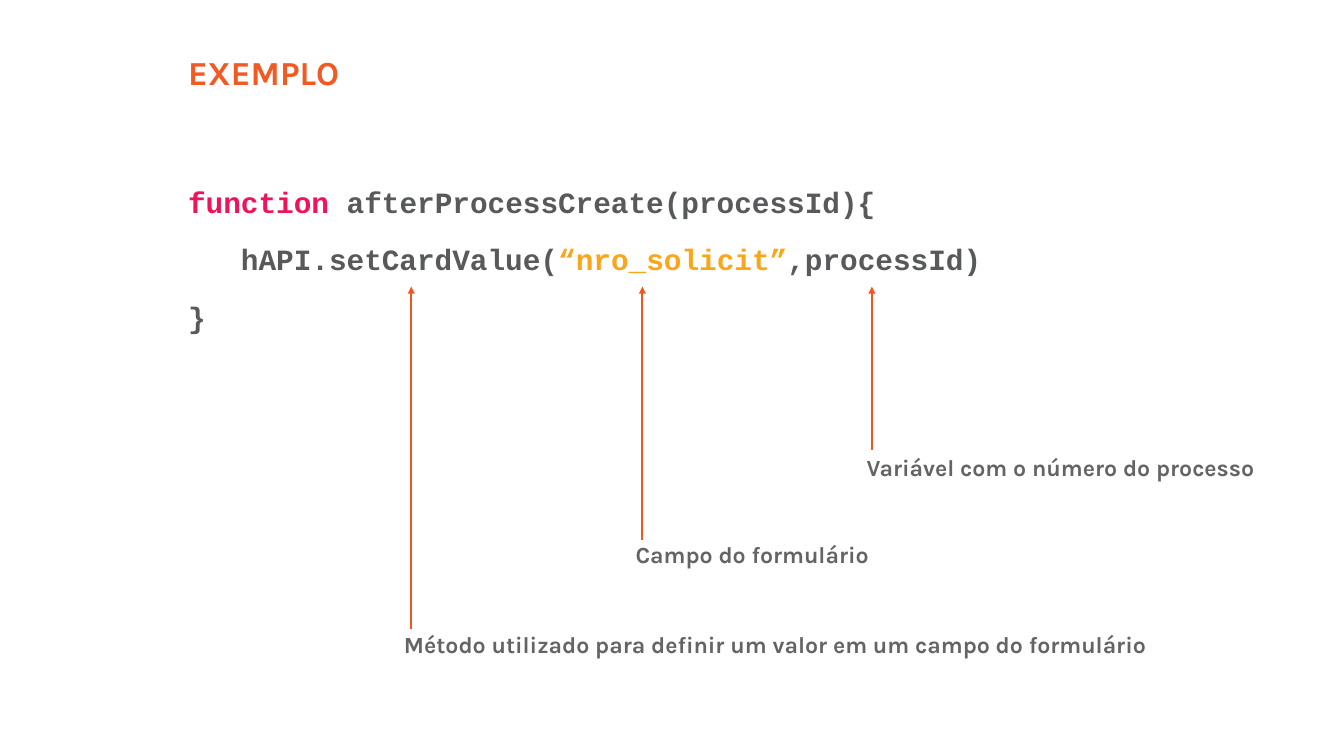
from dataclasses import dataclass

import pptx
import pptx.dml.color
import pptx.enum.shapes
import pptx.enum.text
import pptx.oxml
import pptx.oxml.ns
import pptx.util
from pptx.slide import Slide
from pptx.text.text import TextFrame, _Paragraph

Pt = pptx.util.Pt
RGBColor = pptx.dml.color.RGBColor

ORANGE = RGBColor(0xF1, 0x5A, 0x22)
ARROW_ORANGE = RGBColor(0xF1, 0x56, 0x1C)
PINK = RGBColor(0xED, 0x14, 0x5B)
AMBER = RGBColor(0xFA, 0xA6, 0x1A)
CODE_GRAY = RGBColor(0x58, 0x59, 0x5B)
LABEL_GRAY = RGBColor(0x63, 0x64, 0x63)

TEXT_FONT = "Karla"
CODE_FONT = "Courier New"
ARROW_TIP = 273


@dataclass
class Callout:
    text: str
    arrow_x: float
    arrow_start: float
    left: float
    top: float
    width: float


CODE_LINES = [
    [("function ", PINK), ("afterProcessCreate(processId){", CODE_GRAY)],
    [("   hAPI.setCardValue(", CODE_GRAY), ("“nro_solicit”", AMBER), (",processId)", CODE_GRAY)],
    [("}", CODE_GRAY)],
]

CALLOUTS = [
    Callout("Variável com o número do processo", 830, 429, 818, 428, 390),
    Callout("Campo do formulário", 611.5, 514, 598, 511, 319),
    Callout("Método utilizado para definir um valor em um campo do formulário",
            391.5, 599, 377.5, 597, 749),
]


def add_run(paragraph: _Paragraph, text: str, font: str, size: float, color: RGBColor) -> None:
    run = paragraph.add_run()
    run.text = text
    run.font.name = font
    run.font.size = Pt(size)
    run.font.bold = True
    run.font.color.rgb = color


def add_text_frame(slide: Slide, left: float, top: float, width: float, height: float) -> TextFrame:
    shape = slide.shapes.add_textbox(Pt(left), Pt(top), Pt(width), Pt(height))
    shape.text_frame.word_wrap = True
    return shape.text_frame


def format_title(slide: Slide) -> None:
    title = slide.shapes.title
    title.left, title.top, title.width, title.height = Pt(172), Pt(42), Pt(685), Pt(101.5)
    title.text_frame.vertical_anchor = pptx.enum.text.MSO_ANCHOR.TOP
    paragraph = title.text_frame.paragraphs[0]
    paragraph.alignment = pptx.enum.text.PP_ALIGN.LEFT
    paragraph.line_spacing = 1.1
    add_run(paragraph, "EXEMPLO", TEXT_FONT, 32, ORANGE)


def add_code(slide: Slide) -> None:
    frame = add_text_frame(slide, 172, 168, 953, 184)
    for index, line in enumerate(CODE_LINES):
        paragraph = frame.add_paragraph() if index else frame.paragraphs[0]
        paragraph.line_spacing = 1.1
        if index:
            paragraph.space_before = Pt(18)
        for text, color in line:
            add_run(paragraph, text, CODE_FONT, 28, color)


def add_callout(slide: Slide, callout: Callout) -> None:
    # Arrow pointing up at the code
    arrow = slide.shapes.add_connector(
        pptx.enum.shapes.MSO_CONNECTOR.STRAIGHT,
        Pt(callout.arrow_x), Pt(callout.arrow_start), Pt(callout.arrow_x), Pt(ARROW_TIP))
    arrow.line.color.rgb = ARROW_ORANGE
    arrow.line.width = Pt(2.25)
    namespace = pptx.oxml.ns.nsdecls("a")
    arrow.line._get_or_add_ln().append(
        pptx.oxml.parse_xml(f'<a:tailEnd {namespace} type="triangle"/>'))
    arrow._element.spPr.append(pptx.oxml.parse_xml(f"<a:effectLst {namespace}/>"))

    # Explanation under the arrow
    frame = add_text_frame(slide, callout.left, callout.top, callout.width, 34)
    frame.auto_size = pptx.enum.text.MSO_AUTO_SIZE.SHAPE_TO_FIT_TEXT
    add_run(frame.paragraphs[0], callout.text, TEXT_FONT, 22, LABEL_GRAY)


def main() -> None:
    presentation = pptx.Presentation()
    presentation.slide_width = Pt(1279.5)
    presentation.slide_height = Pt(720)
    slide = presentation.slides.add_slide(presentation.slide_layouts.get_by_name("Title Only"))

    format_title(slide)
    add_code(slide)
    for callout in CALLOUTS:
        add_callout(slide, callout)

    presentation.save("out.pptx")


if __name__ == "__main__":
    main()
